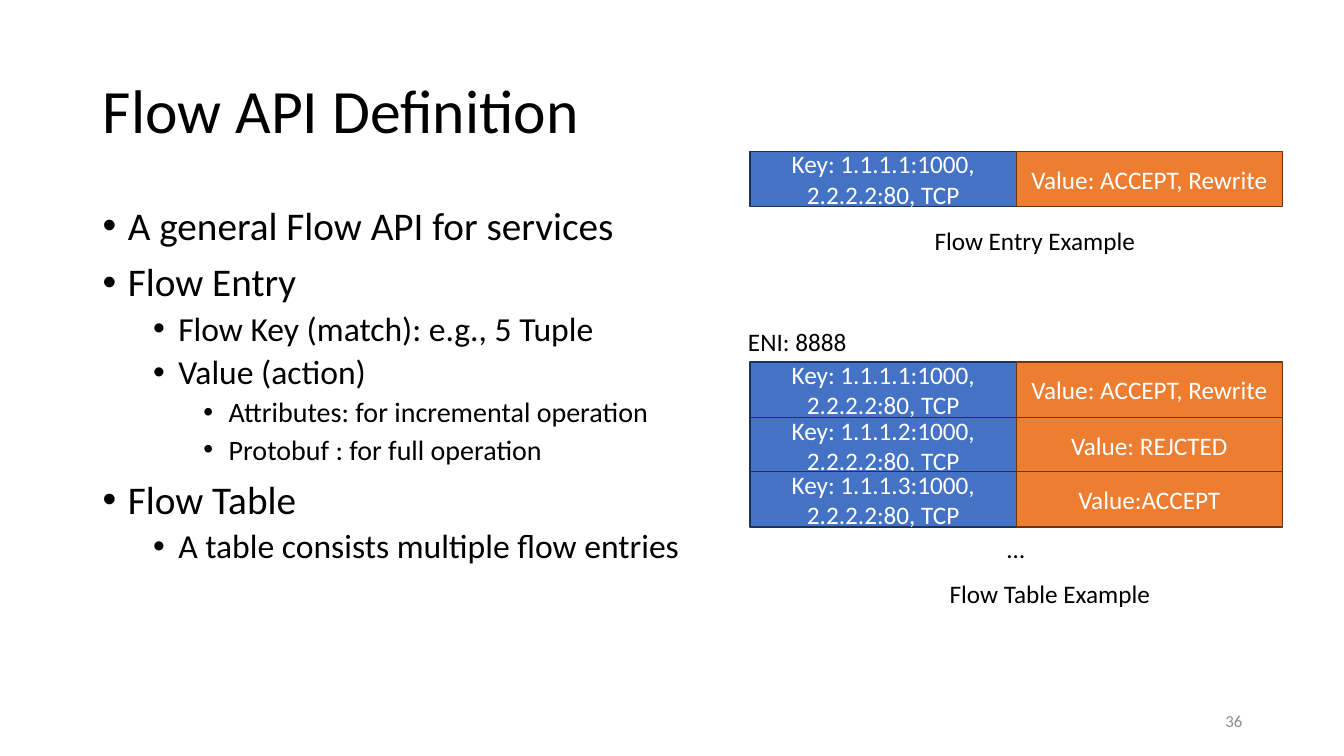
from lxml import etree
from pptx import Presentation
from pptx import util as u
from pptx.dml.color import RGBColor
from pptx.enum import shapes, text
from pptx.oxml.ns import qn

PX = 9144  # EMU per px, 100 px to the inch
FONT = "Calibri"
INK = {"black": "000000", "white": "FFFFFF", "gray": "8C8C8C",
       "key": "4472C4", "key_edge": "1E3256",
       "value": "ED7D31", "value_edge": "683715"}


def style(para, size, ink="black", align=text.PP_ALIGN.LEFT):
    para.alignment = align
    para.font.name = FONT
    para.font.size = u.Pt(size)
    para.font.color.rgb = RGBColor.from_string(INK[ink])


def label(words, x, y, w, h=40, wrap=False):
    box = slide.shapes.add_textbox(x * PX, y * PX, w * PX, h * PX)
    frame = box.text_frame
    frame.word_wrap = wrap
    frame.text = words
    style(frame.paragraphs[0], 18)
    return frame


deck = Presentation()
deck.slide_width, deck.slide_height = 1333 * PX, 750 * PX
slide = deck.slides.add_slide(deck.slide_layouts[5])

# Title
title = slide.shapes.title
title.left, title.top, title.width, title.height = (
    n * PX for n in (92, 40, 1150, 145))
frame = title.text_frame
frame.text = "Flow API Definition"
frame.auto_size = text.MSO_AUTO_SIZE.NONE
frame.vertical_anchor = text.MSO_ANCHOR.MIDDLE
frame.paragraphs[0].line_spacing = 0.9
style(frame.paragraphs[0], 44)

# Bullet list: level, words
points = [
    (0, "A general Flow API for services"),
    (0, "Flow Entry"),
    (1, "Flow Key (match): e.g., 5 Tuple"),
    (1, "Value (action)"),
    (2, "Attributes: for incremental operation"),
    (2, "Protobuf : for full operation"),
    (0, "Flow Table"),
    (1, "A table consists multiple flow entries"),
]
body = label("", 92, 200, 1150, 476, wrap=True)
for i, (level, words) in enumerate(points):
    para = body.paragraphs[0] if i == 0 else body.add_paragraph()
    para.text = words
    para.level = level
    props = para._p.get_or_add_pPr()
    props.set("marL", str((25 + 50 * level) * PX))
    props.set("indent", str(-25 * PX))
    etree.SubElement(props, qn("a:buFont"), typeface="Arial")
    etree.SubElement(props, qn("a:buChar"), char="•")
    para.line_spacing = 0.9
    if i:
        para.space_before = u.Pt(5 if level else 10)
    style(para, 28 - 4 * level)

# Flow entries: top, key, value
entries = [
    (150, "Key: 1.1.1.1:1000, 2.2.2.2:80, TCP", "Value: ACCEPT, Rewrite"),
    (359, "Key: 1.1.1.1:1000, 2.2.2.2:80, TCP", "Value: ACCEPT, Rewrite"),
    (414, "Key: 1.1.1.2:1000, 2.2.2.2:80, TCP", "Value: REJCTED"),
    (468, "Key: 1.1.1.3:1000, 2.2.2.2:80, TCP", "Value:ACCEPT"),
]
for top, key, value in entries:
    for x, ink, words in ((744, "key", key), (1008, "value", value)):
        cell = slide.shapes.add_shape(
            shapes.MSO_SHAPE.RECTANGLE, x * PX, top * PX, 264 * PX, 55 * PX)
        cell.shadow.inherit = False
        cell.fill.solid()
        cell.fill.fore_color.rgb = RGBColor.from_string(INK[ink])
        cell.line.color.rgb = RGBColor.from_string(INK[ink + "_edge"])
        cell.line.width = u.Pt(1)
        frame = cell.text_frame
        frame.word_wrap = True
        frame.vertical_anchor = text.MSO_ANCHOR.MIDDLE
        frame.text = words
        style(frame.paragraphs[0], 18, "white", text.PP_ALIGN.CENTER)

# Captions
label("Flow Entry Example", 917, 219, 221)
label("ENI: 8888", 732, 319, 119)
label("…", 989, 524, 38)
label("Flow Table Example", 932, 569, 221)

# Page number
page = label("36", 942, 695, 300, wrap=True)
page.vertical_anchor = text.MSO_ANCHOR.MIDDLE
style(page.paragraphs[0], 12, "gray", text.PP_ALIGN.RIGHT)

deck.save("out.pptx")
